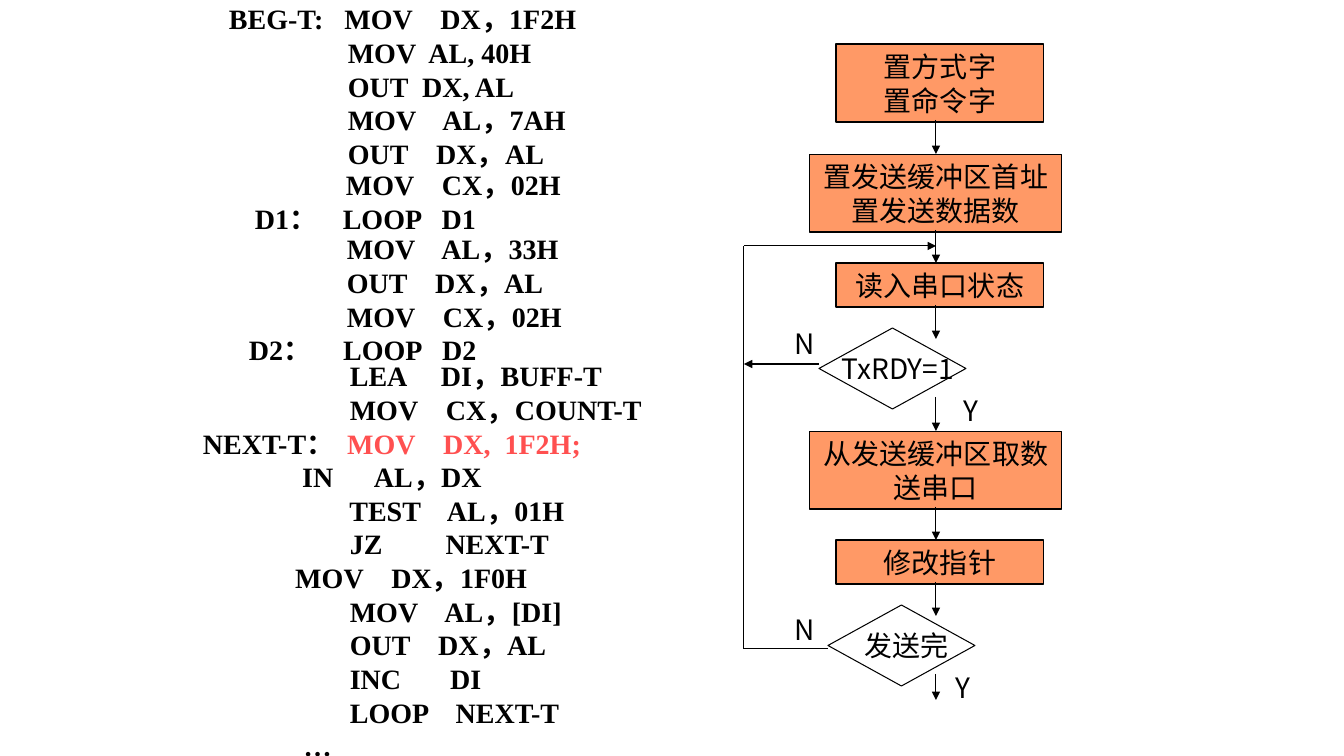
from lxml.etree import SubElement
from pptx import Presentation
from pptx.dml.color import RGBColor
from pptx.enum.shapes import MSO_CONNECTOR, MSO_SHAPE
from pptx.enum.text import MSO_ANCHOR, PP_ALIGN
from pptx.oxml.ns import qn
from pptx.util import Emu, Pt

SCALE = 12192000 / 1344
BLACK = RGBColor(0x00, 0x00, 0x00)
RED = RGBColor(0xFF, 0x50, 0x50)
ORANGE = RGBColor(0xFF, 0x99, 0x66)
SERIF = "Times New Roman"
SANS = "Noto Sans CJK SC"
SPINE_X = 936
RETURN_X = 744

CODE_BLOCKS = [
    ((219, -3, 487, 179), [
        "BEG-T:   MOV    DX，1F2H",
        "                 MOV  AL, 40H",
        "                 OUT  DX, AL",
        "                 MOV    AL，7AH",
        "                 OUT    DX，AL",
    ]),
    ((217, 163, 487, 78), [
        "                 MOV    CX，02H",
        "    D1：    LOOP   D1",
    ]),
    ((211, 227, 487, 146), [
        "                  MOV    AL，33H",
        "                  OUT    DX，AL",
        "                  MOV    CX，02H",
        "    D2：     LOOP   D2",
    ]),
    ((193, 354, 487, 417), [
        "                     LEA     DI，BUFF-T",
        "                     MOV    CX，COUNT-T",
        [("NEXT-T：  ", BLACK), ("MOV    DX,  1F2H;", RED)],
        "\t       IN      AL，DX",
        "                     TEST    AL，01H",
        "                     JZ         NEXT-T",
        "\t      MOV    DX，1F0H",
        "                     MOV    AL，[DI]",
        "                     OUT    DX，AL",
        "                     INC       DI",
        "                     LOOP    NEXT-T",
        "\t\t…",
    ]),
]
PROCESSES = [
    ((836, 44, 208, 78), ["置方式字", "置命令字"], SERIF),
    ((810, 154, 252, 78), ["置发送缓冲区首址", "置发送数据数"], SERIF),
    ((836, 263, 208, 44), ["读入串口状态"], SANS),
    ((810, 431, 252, 78), ["从发送缓冲区取数送串口"], SANS),
    ((836, 540, 208, 44), ["修改指针"], SERIF),
]
DECISIONS = [(819, 328, 147, 81), (828, 605, 147, 81)]
SPINE_ARROWS = [(120, 154), (230, 263), (305, 339), (397, 431),
                (507, 540), (582, 616), (674, 700)]
BRANCH_LABELS = [("Y", 954, 389), ("Y", 946, 666), ("N", 785, 322), ("N", 785, 608)]


def px(*lengths):
    return [Emu(round(length * SCALE)) for length in lengths]


def write_text(frame, lines, font=SERIF, bold=False, align=PP_ALIGN.LEFT, spacing=None):
    frame.word_wrap = True
    for index, line in enumerate(lines):
        para = frame.add_paragraph() if index else frame.paragraphs[0]
        para.alignment = align
        if spacing:
            para.line_spacing = spacing
        for text, color in [(line, BLACK)] if isinstance(line, str) else line:
            span = para.add_run()
            span.text = text
            span.font.name = font
            span.font.size = Pt(20)
            span.font.bold = bold
            span.font.color.rgb = color


def add_text(page, bounds, lines, **text_format):
    box = page.shapes.add_textbox(*px(*bounds))
    write_text(box.text_frame, lines, **text_format)


def add_outlined(page, kind, bounds):
    box = page.shapes.add_shape(kind, *px(*bounds))
    box.shadow.inherit = False
    box.fill.background()
    box.line.color.rgb = BLACK
    box.line.width = Pt(0.75)
    return box


def add_process(page, bounds, lines, font):
    box = add_outlined(page, MSO_SHAPE.FLOWCHART_PROCESS, bounds)
    box.fill.solid()
    box.fill.fore_color.rgb = ORANGE
    box.text_frame.vertical_anchor = MSO_ANCHOR.MIDDLE
    write_text(box.text_frame, lines, font=font, align=PP_ALIGN.CENTER, spacing=Pt(24))


def add_line(page, start, end, arrow=True):
    line = page.shapes.add_connector(MSO_CONNECTOR.STRAIGHT, *px(*start, *end))
    line.line.color.rgb = BLACK
    line.line.width = Pt(0.75)
    if arrow:
        SubElement(line.line._get_or_add_ln(), qn("a:tailEnd"), type="triangle")
    SubElement(line._element.spPr, qn("a:effectLst"))


def main():
    deck = Presentation()
    deck.slide_width, deck.slide_height = px(1344, 756)
    page = deck.slides.add_slide(deck.slide_layouts[6])

    for bounds, lines in CODE_BLOCKS:
        add_text(page, bounds, lines, bold=True, spacing=Pt(24))
    for bounds, lines, font in PROCESSES:
        add_process(page, bounds, lines, font)
    for bounds in DECISIONS:
        add_outlined(page, MSO_SHAPE.FLOWCHART_DECISION, bounds)
    add_text(page, (832, 347, 159, 59), ["TxRDY=1"], font=SANS)
    add_text(page, (827, 624, 159, 59), ["发送完"], align=PP_ALIGN.CENTER)

    for top, bottom in SPINE_ARROWS:
        add_line(page, (SPINE_X, top), (SPINE_X, bottom))
    add_line(page, (828, 649), (RETURN_X, 649), arrow=False)
    add_line(page, (RETURN_X, 649), (RETURN_X, 246), arrow=False)
    add_line(page, (RETURN_X, 246), (SPINE_X, 246))
    add_line(page, (819, 364), (RETURN_X, 364))

    for text, left, top in BRANCH_LABELS:
        add_text(page, (left, top, 42, 44), [text], font=SANS)
    deck.save("out.pptx")


if __name__ == "__main__":
    main()
